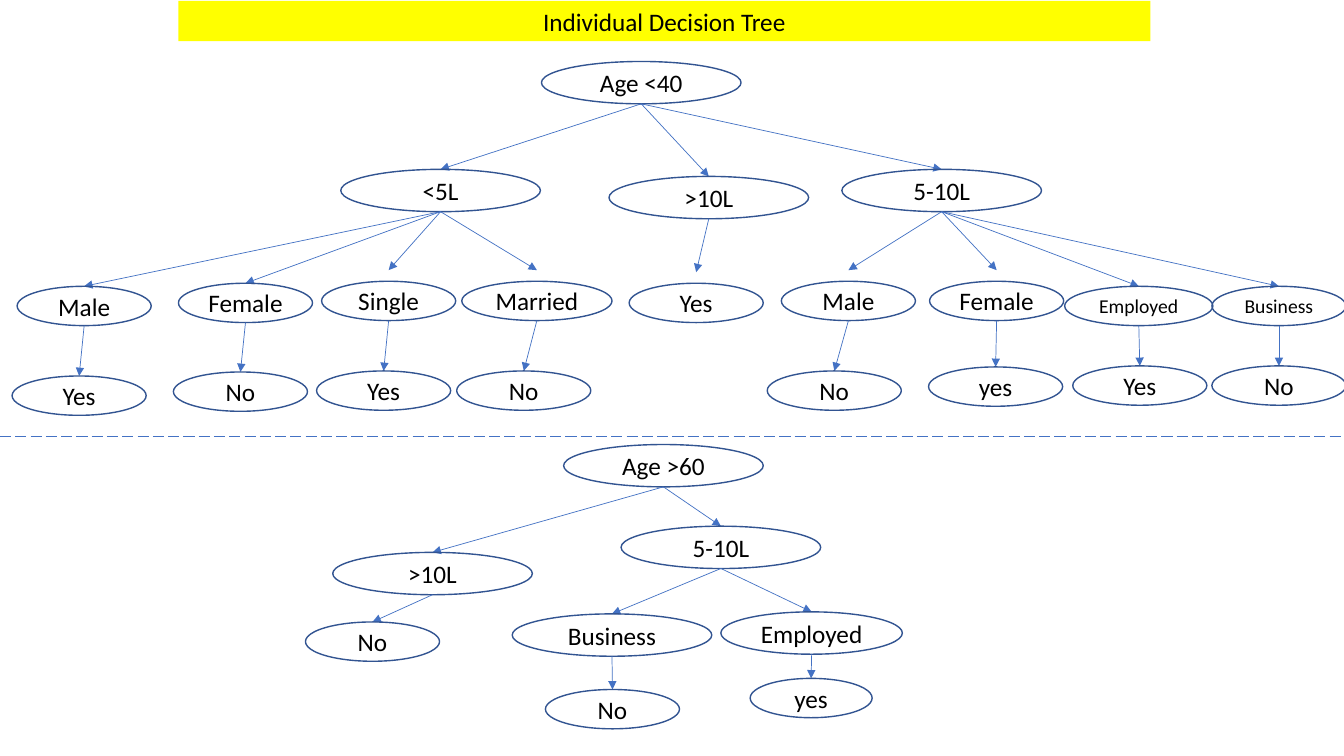
"""Build a slide with two individual decision trees."""
from dataclasses import dataclass

from lxml.etree import SubElement
from pptx import Presentation
from pptx.dml.color import RGBColor
from pptx.enum.dml import MSO_LINE
from pptx.enum.shapes import MSO_CONNECTOR, MSO_SHAPE
from pptx.enum.text import MSO_ANCHOR, PP_ALIGN
from pptx.oxml.ns import qn
from pptx.util import Inches, Pt

COLORS = {"outline": "325491", "arrow": "4472C4", "banner": "FFFF00", "text": "000000"}
FONT = "Calibri"
BRANCH_WIDTH, BRANCH_HEIGHT = 1.98, 0.42
LEAF_WIDTH, LEAF_HEIGHT = 1.33, 0.39
ARROW_GAP = 0.11


@dataclass
class Node:
    """One oval of a tree, with the ovals below it."""
    label: str
    left: float
    top: float
    children: tuple = ()
    width: float = LEAF_WIDTH
    height: float = LEAF_HEIGHT
    size: int = 18
    gap: float = 0

    @property
    def center(self):
        """Return the horizontal middle of the oval."""
        return self.left + self.width / 2


def branch(label, left, top, *children, width=BRANCH_WIDTH):
    """Return a large oval with its children."""
    return Node(label, left, top, children, width, BRANCH_HEIGHT)


def answer(label, left, top, result, **options):
    """Return a small oval that leads to a single result."""
    return Node(label, left, top, (result,), **options)


UNDER_40 = branch(
    "Age <40", 5.37, 0.61,
    branch(
        "<5L", 3.38, 1.68,
        answer("Male", 0.17, 2.84, Node("Yes", 0.12, 3.73)),
        answer("Female", 1.77, 2.81, Node("No", 1.72, 3.69)),
        answer("Single", 3.19, 2.79, Node("Yes", 3.14, 3.68), gap=ARROW_GAP),
        answer("Married", 4.58, 2.79, Node("No", 4.53, 3.68), width=1.49, gap=ARROW_GAP),
    ),
    branch(">10L", 6.04, 1.75, Node("Yes", 6.24, 2.81, gap=ARROW_GAP)),
    branch(
        "5-10L", 8.35, 1.68,
        answer("Male", 7.75, 2.79, Node("No", 7.61, 3.68), gap=ARROW_GAP),
        answer("Female", 9.22, 2.79, Node("yes", 9.21, 3.64), gap=ARROW_GAP),
        answer("Employed", 10.56, 2.84, Node("Yes", 10.64, 3.63), width=1.47, size=14),
        answer("Business", 12.02, 2.84, Node("No", 12.02, 3.63), size=14),
    ),
)
OVER_60 = branch(
    "Age >60", 5.59, 4.41,
    branch(">10L", 3.3, 5.48, Node("No", 3.03, 6.17)),
    branch(
        "5-10L", 6.16, 5.22,
        branch("Business", 5.08, 6.09, Node("No", 5.41, 6.84)),
        branch("Employed", 7.15, 6.07, Node("yes", 7.44, 6.73, width=1.21), width=1.8),
    ),
)


def color(name):
    """Return a named colour of the slide."""
    return RGBColor.from_string(COLORS[name])


def add_box(page, preset, label, left, top, width, height, size=18):
    """Add an unfilled, unlined shape with centred text."""
    box = page.shapes.add_shape(
        preset, Inches(left), Inches(top), Inches(width), Inches(height))
    box.shadow.inherit = False
    box.fill.background()
    box.line.fill.background()
    frame = box.text_frame
    frame.word_wrap = True
    frame.text = label
    para = frame.paragraphs[0]
    para.alignment = PP_ALIGN.CENTER
    font = para.runs[0].font
    font.name, font.size, font.color.rgb = FONT, Pt(size), color("text")
    return box


def add_banner(page, label):
    """Add the yellow title bar."""
    box = add_box(page, MSO_SHAPE.RECTANGLE, label, 1.77, 0.01, 9.64, 0.4)
    box.fill.solid()
    box.fill.fore_color.rgb = color("banner")
    box.text_frame.vertical_anchor = MSO_ANCHOR.TOP


def add_line(page, start, end, weight):
    """Add a straight blue line between two points."""
    line = page.shapes.add_connector(
        MSO_CONNECTOR.STRAIGHT, *(Inches(value) for value in (*start, *end)))
    line.line.color.rgb = color("arrow")
    line.line.width = Pt(weight)
    SubElement(line._element.spPr, qn("a:effectLst"))
    return line


def add_arrow(page, parent, child):
    """Add an arrow from the bottom of one oval towards the top of another."""
    line = add_line(page, (parent.center, parent.top + parent.height),
                    (child.center, child.top - child.gap), 0.5)
    SubElement(line.line._get_or_add_ln(), qn("a:tailEnd"), type="triangle")


def add_tree(page, node):
    """Add an oval and everything below it."""
    box = add_box(page, MSO_SHAPE.OVAL, node.label, node.left, node.top,
                  node.width, node.height, node.size)
    box.line.color.rgb = color("outline")
    box.line.width = Pt(1)
    box.text_frame.vertical_anchor = MSO_ANCHOR.MIDDLE
    for child in node.children:
        add_arrow(page, node, child)
        add_tree(page, child)


def main():
    """Build and save the deck."""
    deck = Presentation()
    deck.slide_width, deck.slide_height = Inches(13.33), Inches(7.5)
    page = deck.slides.add_slide(deck.slide_layouts[6])
    add_tree(page, UNDER_40)
    divider = add_line(page, (0, 4.33), (13.33, 4.33), 1)
    divider.line.dash_style = MSO_LINE.LONG_DASH
    add_tree(page, OVER_60)
    add_banner(page, "Individual Decision Tree")
    deck.save("out.pptx")


if __name__ == "__main__":
    main()
